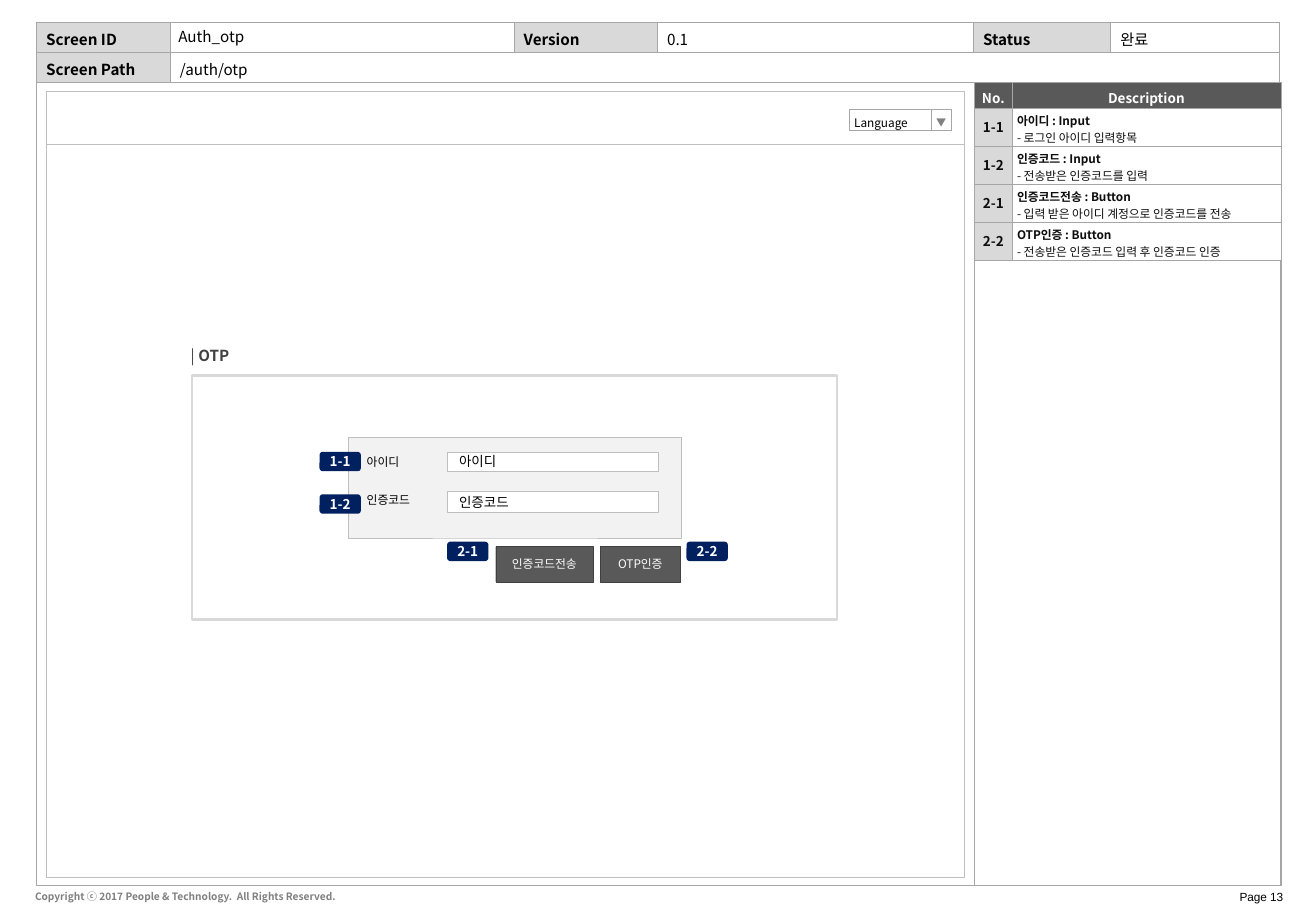
from dataclasses import dataclass
from typing import Any, Optional

import lxml.etree
import pptx
import pptx.dml.color
import pptx.enum.shapes
import pptx.enum.text
import pptx.oxml.ns
import pptx.util

COLOURS = {
    "black": "000000", "ink": "0D0D0D", "white": "FFFFFF", "navy": "002060",
    "charcoal": "404040", "dark": "595959", "grey": "808080", "edge": "A6A6A6",
    "soft": "BFBFBF", "label": "D9D9D9", "panel": "F2F2F2",
}
WIDTH, HEIGHT = pptx.util.Inches(10.83), pptx.util.Inches(7.5)
COLUMN, ROW = WIDTH / 1083, HEIGHT / 750
KOREAN = "Noto Sans CJK KR"
LEFT = pptx.enum.text.PP_ALIGN.LEFT
CENTER = pptx.enum.text.PP_ALIGN.CENTER
RIGHT = pptx.enum.text.PP_ALIGN.RIGHT
TOP = pptx.enum.text.MSO_ANCHOR.TOP
MIDDLE = pptx.enum.text.MSO_ANCHOR.MIDDLE
RECTANGLE = pptx.enum.shapes.MSO_SHAPE.RECTANGLE
ROUNDED = pptx.enum.shapes.MSO_SHAPE.ROUNDED_RECTANGLE


@dataclass(frozen=True)
class Span:
    text: str
    size: float = 7
    colour: str = "black"
    bold: bool = False
    font: str = KOREAN


@dataclass(frozen=True)
class Content:
    lines: tuple[tuple[Span, ...], ...] = ()
    align: Any = LEFT
    anchor: Any = MIDDLE
    insets: tuple[float, float, float, float] = (10, 5, 10, 5)
    spacing: Optional[float] = None


@dataclass(frozen=True)
class Box:
    place: tuple[float, float, float, float]
    content: Content = Content()
    fill: Optional[str] = None
    line: Optional[str] = None
    weight: float = 0.25
    kind: Any = RECTANGLE


@dataclass(frozen=True)
class Cell:
    content: Content
    fill: str = "white"


def colour(name: str) -> pptx.dml.color.RGBColor:
    return pptx.dml.color.RGBColor.from_string(COLOURS[name])


def apply(target: Any, values: dict[str, Any]) -> None:
    for name, value in values.items():
        setattr(target, name, value)


def margins(content: Content) -> dict[str, int]:
    sides = ("left", "top", "right", "bottom")
    units = (COLUMN, ROW, COLUMN, ROW)
    return {f"margin_{side}": round(inset * unit)
            for side, inset, unit in zip(sides, content.insets, units)}


def write(frame: Any, content: Content) -> None:
    for index, line in enumerate(content.lines):
        para = frame.paragraphs[0] if index == 0 else frame.add_paragraph()
        apply(para, {"alignment": content.align, "line_spacing": content.spacing})
        for span in line:
            run = para.add_run()
            run.text = span.text
            apply(run.font, {"size": pptx.util.Pt(span.size), "bold": span.bold, "name": span.font})
            run.font.color.rgb = colour(span.colour)
            lxml.etree.SubElement(run.font._element, pptx.oxml.ns.qn("a:ea"), typeface=span.font)


def draw_box(page: Any, box: Box) -> None:
    left, top, width, height = box.place
    place = [round(value) for value in (left * COLUMN, top * ROW, width * COLUMN, height * ROW)]
    if box.fill or box.line:
        shape = page.shapes.add_shape(box.kind, *place)
        shape.shadow.inherit = False
        if box.fill:
            shape.fill.solid()
            shape.fill.fore_color.rgb = colour(box.fill)
        else:
            shape.fill.background()
        if box.line:
            shape.line.color.rgb = colour(box.line)
            shape.line.width = pptx.util.Pt(box.weight)
        else:
            shape.line.fill.background()
    else:
        shape = page.shapes.add_textbox(*place)
    frame = shape.text_frame
    apply(frame, {"word_wrap": True, "vertical_anchor": box.content.anchor, **margins(box.content)})
    write(frame, box.content)


def draw_cell(cell: Any, source: Cell) -> None:
    apply(cell, {"vertical_anchor": source.content.anchor, **margins(source.content)})
    write(cell.text_frame, source.content)
    if not source.content.lines:
        para = cell.text_frame.paragraphs[0]
        lxml.etree.SubElement(para._p, pptx.oxml.ns.qn("a:endParaRPr"), sz="900")
    properties = cell._tc.get_or_add_tcPr()
    for side in ("lnL", "lnR", "lnT", "lnB"):
        border = lxml.etree.SubElement(properties, pptx.oxml.ns.qn(f"a:{side}"), w="3175")
        fill = lxml.etree.SubElement(border, pptx.oxml.ns.qn("a:solidFill"))
        lxml.etree.SubElement(fill, pptx.oxml.ns.qn("a:srgbClr"), val=COLOURS["edge"])
    cell.fill.solid()
    cell.fill.fore_color.rgb = colour(source.fill)


def draw_table(page: Any, left: float, top: float, columns: list[float],
               rows: list[float], cells: list[list[Cell]]) -> Any:
    table = page.shapes.add_table(
        len(rows), len(columns), round(left * COLUMN), round(top * ROW),
        round(sum(columns) * COLUMN), round(sum(rows) * ROW)).table
    apply(table, {"first_row": False, "horz_banding": False})
    for index, width in enumerate(columns):
        table.columns[index].width = round(width * COLUMN)
    for index, height in enumerate(rows):
        table.rows[index].height = round(height * ROW)
        for position, cell in enumerate(cells[index]):
            draw_cell(table.cell(index, position), cell)
    return table


def text(value: str, size: float = 7, tint: str = "black", bold: bool = False, **layout: Any) -> Content:
    return Content(((Span(value, size, tint, bold),),), **layout)


def info_cell(value: str, label: bool) -> Cell:
    lines = ((Span(value, 9, bold=label),),) if value else ()
    return Cell(Content(lines, anchor=TOP, insets=(8, 5, 0, 1)), "label" if label else "white")


def heading_cell(value: str) -> Cell:
    return Cell(text(value, 8, "white", True, align=CENTER, insets=(4, 4, 4, 0)), "dark")


def note_cells(number: str, name: str, note: str) -> list[Cell]:
    lines = ((Span(name, 7, "ink", True),), (Span(note, 7, "ink"),))
    return [Cell(text(number, 8, "ink", True, align=CENTER, insets=(4, 4, 4, 4)), "label"),
            Cell(Content(lines, insets=(4, 3, 4, 0)))]


def field(label: str, label_top: float, top: float, height: float) -> list[Box]:
    return [Box((368, top, 174, height), text(label, 8), "white", "soft"),
            Box((292, label_top, 77, 21), text(label, anchor=TOP))]


def button(label: str, left: float, width: float) -> Box:
    return Box((left, 450, width, 29), text(label, 7, "white", align=CENTER), "dark", "charcoal")


def badge(number: str, left: float, top: float) -> Box:
    return Box((left, top, 34, 16), text(number, 8, "white", True, align=CENTER, insets=(2, 5, 2, 5)),
               "navy", kind=ROUNDED)


FRAMES = [Box((30, 68, 1024, 661), line="edge"), Box((802, 68, 252, 661), line="edge"),
          Box((38, 76, 756, 646), line="soft"), Box((38, 75, 756, 44), fill="white", line="soft")]
INFO = [["Screen ID", "", "Version", "0.1", "Status", "완료"],
        ["Screen Path", "/auth/otp", "", "", "", ""]]
NOTES = [("1-1", "아이디 : Input", "- 로그인 아이디 입력항목"),
         ("1-2", "인증코드 : Input", "- 전송받은 인증코드를 입력"),
         ("2-1", "인증코드전송 : Button", "- 입력 받은 아이디 계정으로 인증코드를 전송"),
         ("2-2", "OTP인증 : Button", "- 전송받은 인증코드 입력 후 인증코드 인증")]
HEADING = Content(((Span("|", 9, "charcoal"), Span(" OTP", 9, "charcoal", True)),), insets=(4, 0, 4, 0))
FORM = [
    Box((153, 281, 110, 24), HEADING),
    Box((158, 309, 531, 201), line="label", weight=1.5),
    Box((287, 360, 274, 83), fill="panel", line="soft"),
    *field("인증코드", 401, 404, 18), *field("아이디", 369, 372, 16),
    button("인증코드전송", 408, 80), button("OTP인증", 494, 66),
    badge("1-2", 263, 407), badge("1-1", 263, 372), badge("2-1", 368, 446), badge("2-2", 565, 446),
    Box((699, 90, 84, 17), text("Language", insets=(4, 5, 4, 5), spacing=1.5), "white", "edge"),
    Box((766, 90, 17, 17), text("▼", 6, "grey", align=CENTER, insets=(4, 5, 4, 5), spacing=1.5),
        "white", "edge"),
    Box((137, 17, 664, 26), text("Auth_otp", 9)),
    Box((19, 728, 326, 20),
        text("Copyright ⓒ 2017 People & Technology.  All Rights Reserved.", 6, "grey", True, anchor=TOP)),
    Box((957, 727, 112, 22),
        Content(((Span("Page 13", font="Arial"),),), align=RIGHT, insets=(13, 7, 13, 7))),
]


def main() -> None:
    deck = pptx.Presentation()
    apply(deck, {"slide_width": WIDTH, "slide_height": HEIGHT})
    page = deck.slides.add_slide(deck.slide_layouts[6])
    for box in FRAMES:
        draw_box(page, box)
    info = [[info_cell(value, position == 0 or (row == 0 and position % 2 == 0))
             for position, value in enumerate(values)] for row, values in enumerate(INFO)]
    table = draw_table(page, 30, 18, [110, 283, 118, 260, 113, 139], [25, 25], info)
    table.cell(1, 1).merge(table.cell(1, 5))
    notes = [[heading_cell("No."), heading_cell("Description")], *(note_cells(*note) for note in NOTES)]
    draw_table(page, 802, 68, [31, 221], [21] + [31.25] * len(NOTES), notes)
    for box in FORM:
        draw_box(page, box)
    deck.save("out.pptx")


if __name__ == "__main__":
    main()
